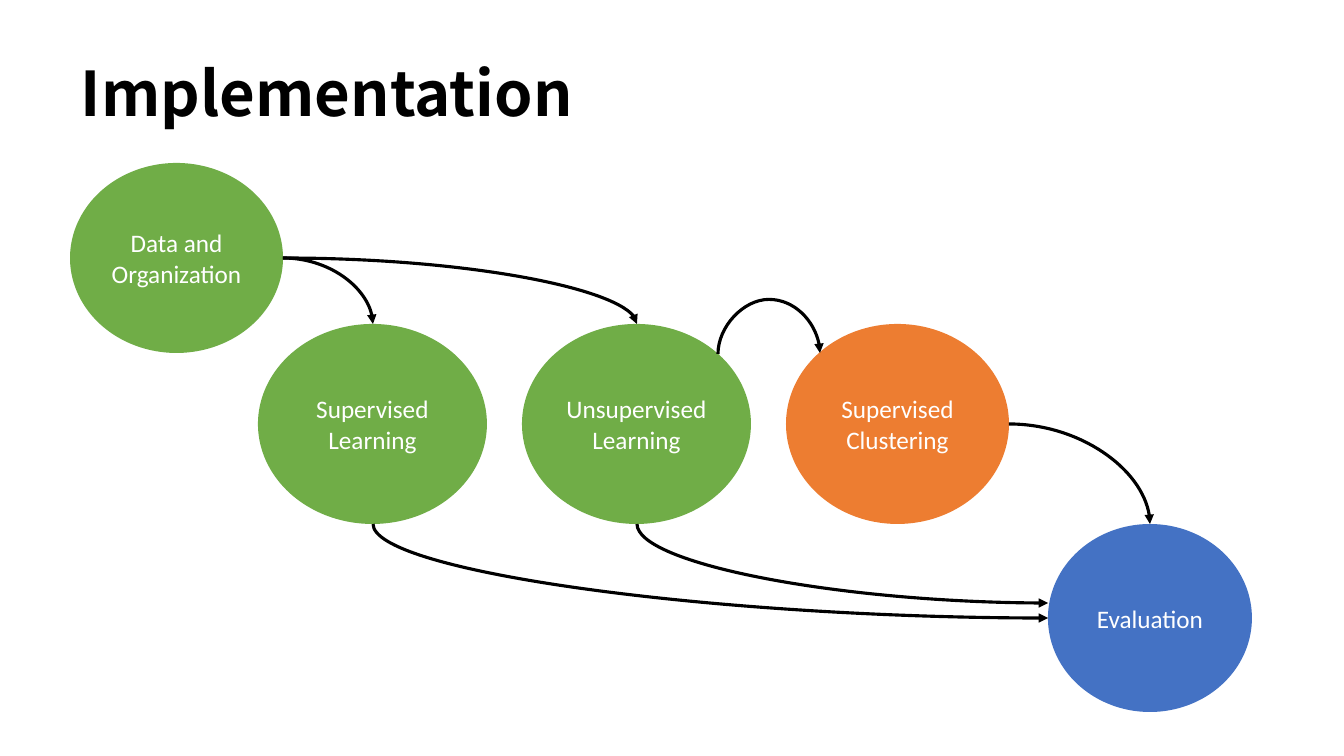
from pptx import Presentation
from pptx import util as u
from pptx.dml.color import RGBColor
from pptx.enum import shapes, text
from pptx.oxml import ns
from lxml import etree

PX = 914400 / 100.8  # EMU in one px
BLACK, WHITE = "000000", "FFFFFF"
GREEN, ORANGE, BLUE = "70AD47", "ED7D31", "4472C4"


def px(n):
    return u.Emu(round(n * PX))


def rgb(value):
    return RGBColor.from_string(value)


class Deck:
    title_font, body_font = "Noto Sans CJK KR", "Calibri"

    def __init__(self, w, h):
        self.prs = Presentation()
        self.prs.slide_width, self.prs.slide_height = px(w), px(h)
        self.s = self.prs.slides.add_slide(self.prs.slide_layouts[6])

    def label(self, sp, words, size, color, font, bold=False):
        tf = sp.text_frame
        tf.word_wrap = True
        tf.vertical_anchor = text.MSO_ANCHOR.MIDDLE
        p = tf.paragraphs[0]
        r = p.add_run()
        r.text = words
        r.font.size, r.font.name, r.font.bold = u.Pt(size), font, bold
        r.font.color.rgb = rgb(color)
        return p

    def title(self, words, x, y, w, h):
        sp = self.s.shapes.add_textbox(px(x), px(y), px(w), px(h))
        p = self.label(sp, words, 44, BLACK, self.title_font, True)
        p.line_spacing = 0.9

    def oval(self, words, x, y, w, h, fill):
        sp = self.s.shapes.add_shape(shapes.MSO_SHAPE.OVAL, px(x), px(y), px(w), px(h))
        sp.shadow.inherit = False
        sp.fill.solid()
        sp.fill.fore_color.rgb = rgb(fill)
        sp.line.fill.background()
        p = self.label(sp, words, 18, WHITE, self.body_font)
        p.alignment = text.PP_ALIGN.CENTER

    def arrow(self, x1, y1, x2, y2):
        c = self.s.shapes.add_connector(
            shapes.MSO_CONNECTOR.CURVE, px(x1), px(y1), px(x2), px(y2))
        c.line.color.rgb = rgb(BLACK)
        c.line.width = u.Pt(2.25)
        pr = c._element.spPr
        etree.SubElement(pr.find(ns.qn("a:ln")), ns.qn("a:tailEnd"), type="triangle")
        etree.SubElement(pr, ns.qn("a:effectLst"))
        pr.find(ns.qn("a:prstGeom")).set("prst", "curvedConnector2")
        return c

    def turn(self, c, degrees, **flips):
        """Rotate a connector on its centre so that it leaves vertically."""
        x, y, w, h = c.left, c.top, c.width, c.height
        c.left, c.top = x + (w - h) // 2, y + (h - w) // 2
        c.width, c.height = h, w
        xfrm = c._element.spPr.find(ns.qn("a:xfrm"))
        for name in ("flipH", "flipV"):
            xfrm.attrib.pop(name, None)
        xfrm.set("rot", str(degrees * 60000))
        for name, value in flips.items():
            xfrm.set(name, value)

    def arrow_down(self, x1, y1, x2, y2):
        self.turn(self.arrow(x1, y1, x2, y2), 270, flipH="1")

    def arrow_over(self, x1, y1, x2, y2, top):
        c = self.arrow(x1, y1, x2, y2)
        self.turn(c, 90, flipH="1", flipV="1")
        geom = c._element.spPr.find(ns.qn("a:prstGeom"))
        geom.set("prst", "curvedConnector3")
        bend = round((y1 - top) / (y1 - y2) * 100000)
        etree.SubElement(geom.find(ns.qn("a:avLst")), ns.qn("a:gd"),
                         name="adj1", fmla=f"val {bend}")


def main():
    d = Deck(1344, 756)
    d.title("Implementation", 71, 24, 1159, 146)

    # Steps
    d.oval("Data and Organization", 70, 163, 213, 190, GREEN)
    d.oval("Supervised Learning", 258, 324, 229, 200, GREEN)
    d.oval("Unsupervised Learning", 522, 324, 229, 200, GREEN)
    d.oval("Supervised Clustering", 786, 324, 223, 200, ORANGE)
    d.oval("Evaluation", 1048, 524, 204, 188, BLUE)

    # Data to both kinds of learning, clustering to evaluation
    d.arrow(283, 258, 373, 324)
    d.arrow(283, 258, 637, 324)
    d.arrow(1009, 424, 1150, 524)

    # Unsupervised learning to clustering
    d.arrow_over(718, 354, 820, 353, top=299)

    # Both kinds of learning to evaluation
    d.arrow_down(373, 524, 1048, 618)
    d.arrow_down(637, 524, 1048, 603)

    d.prs.save("out.pptx")


if __name__ == "__main__":
    main()
